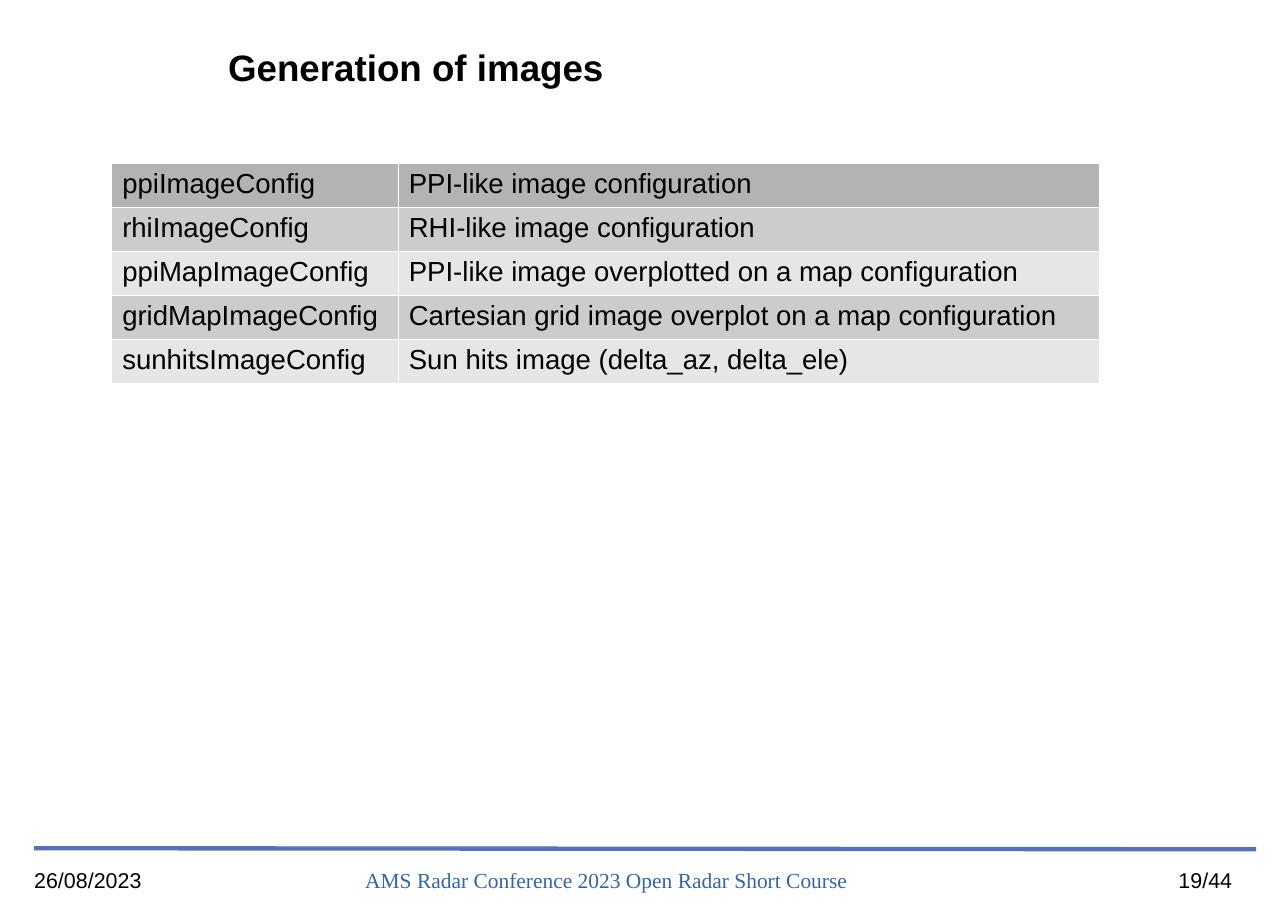
from lxml import etree
from pptx import Presentation, util as u
from pptx.dml.color import RGBColor
from pptx.enum import shapes, text
from pptx.oxml import ns

BLACK = RGBColor(0x00, 0x00, 0x00)
WHITE = RGBColor(0xFF, 0xFF, 0xFF)
HEADER_GRAY = RGBColor(0xB3, 0xB3, 0xB3)
BAND_GRAYS = (RGBColor(0xCC, 0xCC, 0xCC), RGBColor(0xE6, 0xE6, 0xE6))
RULE_BLUE = RGBColor(0x57, 0x70, 0xB6)
FOOTER_BLUE = RGBColor(0x34, 0x65, 0xA4)

LEFT, CENTER = text.PP_ALIGN.LEFT, text.PP_ALIGN.CENTER
NO_MARGINS = dict.fromkeys(
    ("margin_left", "margin_top", "margin_right", "margin_bottom"), 0)

CONFIGURATIONS = [
    ("ppiImageConfig", "PPI-like image configuration"),
    ("rhiImageConfig", "RHI-like image configuration"),
    ("ppiMapImageConfig", "PPI-like image overplotted on a map configuration"),
    ("gridMapImageConfig", "Cartesian grid image overplot on a map configuration"),
    ("sunhitsImageConfig", "Sun hits image (delta_az, delta_ele)"),
]


def apply(target, values):
    for name, value in values.items():
        setattr(target, name, value)


def place(shape, box):
    apply(shape, dict(zip(("left", "top", "width", "height"), map(u.Inches, box))))


def write(frame, words, size, color=BLACK, font="Arial", bold=False, alignment=LEFT):
    paragraph = frame.paragraphs[0]
    paragraph.alignment = alignment
    run = paragraph.add_run()
    run.text = words
    apply(run.font, {"size": u.Pt(size), "name": font, "bold": bold})
    run.font.color.rgb = color


def add_title(slide, box, words):
    title = slide.shapes.title
    place(title, box)
    title.fill.solid()
    title.fill.fore_color.rgb = WHITE
    apply(title.text_frame, {
        **NO_MARGINS,
        "word_wrap": True,
        "auto_size": text.MSO_AUTO_SIZE.NONE,
        "vertical_anchor": text.MSO_ANCHOR.MIDDLE,
    })
    write(title.text_frame, words, 24, bold=True)


def border_cell(cell, color, width):
    properties = cell._tc.get_or_add_tcPr()
    for index, side in enumerate(("lnL", "lnR", "lnT", "lnB")):
        line = etree.Element(ns.qn(f"a:{side}"), w=str(u.Pt(width)))
        fill = etree.SubElement(line, ns.qn("a:solidFill"))
        etree.SubElement(fill, ns.qn("a:srgbClr"), val=str(color))
        properties.insert(index, line)


def add_configuration_table(slide, box, rows, first_share, row_height):
    left, top, width, _ = box
    frame = slide.shapes.add_table(
        len(rows), 2, *map(u.Inches, (left, top, width, row_height * len(rows))))
    table = frame.table
    for column, share in zip(table.columns, (first_share, 1 - first_share)):
        column.width = u.Inches(width * share)
    for row_index, row in enumerate(rows):
        table.rows[row_index].height = u.Inches(row_height)
        color = BAND_GRAYS[(row_index - 1) % 2] if row_index else HEADER_GRAY
        for cell, words in zip(table.rows[row_index].cells, row):
            cell.fill.solid()
            cell.fill.fore_color.rgb = color
            border_cell(cell, WHITE, 0.06)
            write(cell.text_frame, words, 18)


def add_footer(slide, box):
    left, top, width, height = box
    rule = slide.shapes.add_connector(
        shapes.MSO_CONNECTOR.STRAIGHT,
        *map(u.Inches, (left, top, left + width, top + 0.01)))
    rule.line.color.rgb = RULE_BLUE
    rule.line.width = u.Pt(2.83)
    etree.SubElement(rule._element.spPr, ns.qn("a:effectLst"))

    conference = {"color": FOOTER_BLUE, "font": "Times New Roman", "alignment": CENTER}
    entries = [
        ("26/08/2023", 0, 2.72, {}),
        ("AMS Radar Conference 2023 Open Radar Short Course", 1.18, 8.03, conference),
        ("19/44", 10.06, 1.14, {"alignment": CENTER}),
    ]
    for words, offset, entry_width, style in entries:
        entry = slide.shapes.add_textbox(
            *map(u.Inches, (left + offset, top + 0.17, entry_width, height - 0.17)))
        apply(entry.text_frame, {**NO_MARGINS, "word_wrap": True})
        write(entry.text_frame, words, 14, **style)


def main():
    presentation = Presentation()
    apply(presentation, {"slide_width": u.Inches(11.69), "slide_height": u.Inches(8.27)})
    slide = presentation.slides.add_slide(presentation.slide_layouts[5])
    add_footer(slide, (0.31, 7.7, 11.09, 0.56))
    add_title(slide, (2.07, 0.27, 9.24, 0.67), "Generation of images")
    add_configuration_table(
        slide, (1.01, 1.48, 8.97, 1.9), CONFIGURATIONS, 0.29, 0.38)
    presentation.save("out.pptx")


if __name__ == "__main__":
    main()
